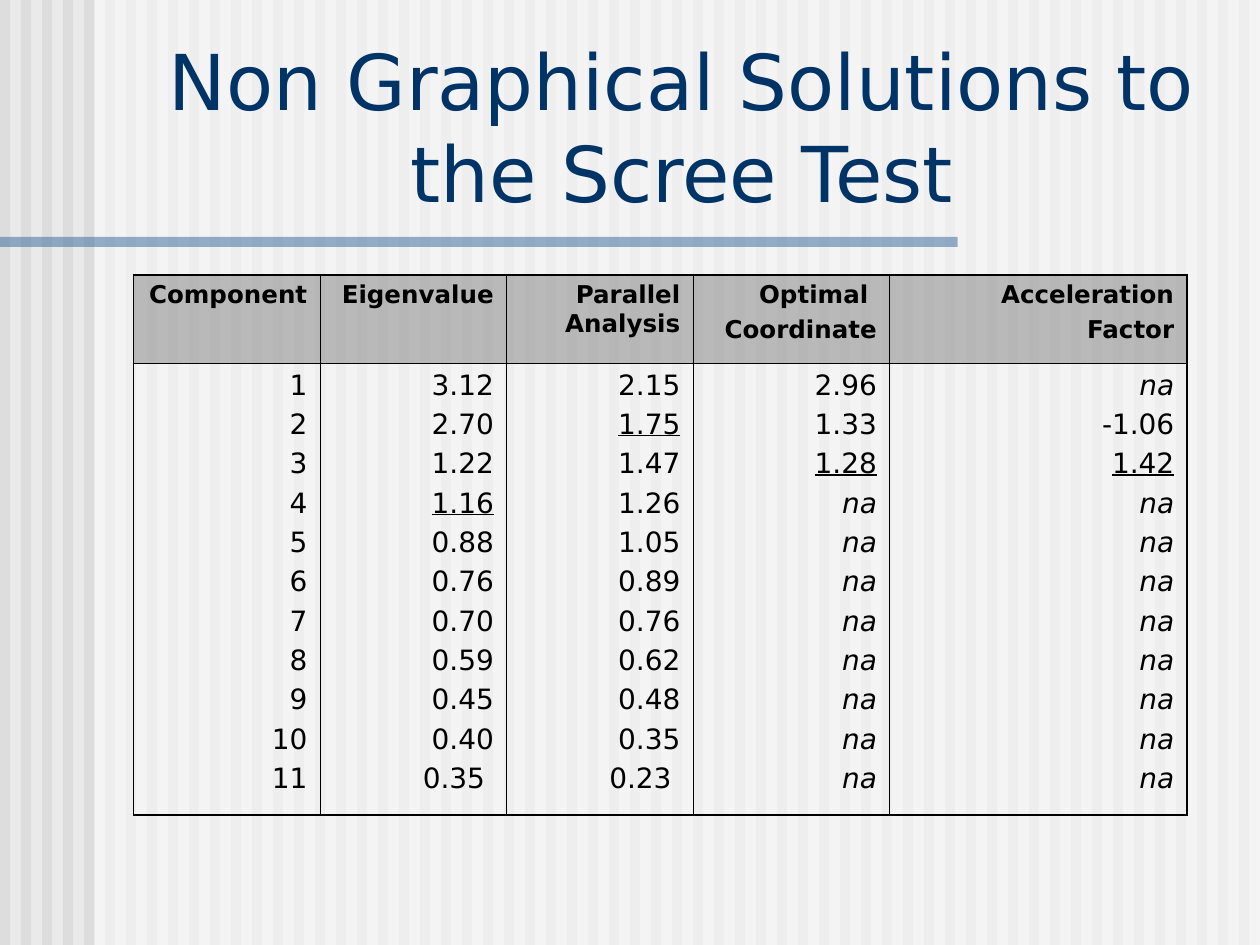
"""Build the slide on non-graphical solutions to the scree test."""
from dataclasses import dataclass

from lxml.etree import SubElement
from pptx import Presentation
from pptx.dml.color import RGBColor
from pptx.enum.shapes import MSO_SHAPE
from pptx.enum.text import MSO_ANCHOR, PP_ALIGN
from pptx.oxml.ns import qn
from pptx.util import Inches, Pt

TITLE = "Non Graphical Solutions to the Scree Test"
NA = "na"
COLUMNS = [
    {"header": ["Component"], "width": 1.48,
     "values": [str(number) for number in range(1, 12)], "underlined": None},
    {"header": ["Eigenvalue"], "width": 1.48,
     "values": ["3.12", "2.70", "1.22", "1.16", "0.88", "0.76",
                "0.70", "0.59", "0.45", "0.40", "0.35 "], "underlined": "1.16"},
    {"header": ["Parallel Analysis"], "width": 1.48,
     "values": ["2.15", "1.75", "1.47", "1.26", "1.05", "0.89",
                "0.76", "0.62", "0.48", "0.35", "0.23 "], "underlined": "1.75"},
    {"header": ["Optimal ", "Coordinate"], "width": 1.56,
     "values": ["2.96", "1.33", "1.28"] + [NA] * 8, "underlined": "1.28"},
    {"header": ["Acceleration", "Factor"], "width": 2.36,
     "values": [NA, "-1.06", "1.42"] + [NA] * 8, "underlined": "1.42"},
]
ROW_HEIGHTS = [0.7, 3.59]
STRIPE_COUNT = 60


@dataclass(frozen=True)
class Theme:
    font: str = "DejaVu Sans"
    background: str = "EAEAEA"
    stripe: str = "DDDDDD"
    veil: str = "FFFFFF"
    rule: str = "336699"
    title: str = "003366"
    text: str = "000000"
    header: str = "808080"
    title_size: int = 44
    header_size: int = 14
    body_size: int = 16
    thin: float = 0.45
    thick: float = 1.08


THEME = Theme()


def paint(fill, properties, color, opacity=100):
    fill.solid()
    fill.fore_color.rgb = RGBColor.from_string(color)
    if opacity < 100:
        color_element = properties.find(qn("a:solidFill"))[0]
        SubElement(color_element, qn("a:alpha"), val=str(opacity * 1000))


def add_block(shapes, left, top, width, height, color, opacity=100):
    shape = shapes.add_shape(MSO_SHAPE.RECTANGLE, Inches(left), Inches(top),
                             Inches(width), Inches(height))
    shape.shadow.inherit = False
    shape.line.fill.background()
    paint(shape.fill, shape.element.spPr, color, opacity)


def style_font(font, size, color, bold=False):
    font.name = THEME.font
    font.size = Pt(size)
    font.bold = bold
    font.color.rgb = RGBColor.from_string(color)


def add_backdrop(slide):
    paint(slide.background.fill, None, THEME.background)
    group = slide.shapes.add_group_shape()
    for index in range(STRIPE_COUNT):
        add_block(group.shapes, index / 6, 0, 0.08, 7.5, THEME.stripe)
    add_block(group.shapes, 0.75, 0, 9.25, 7.5, THEME.veil, 50)
    add_block(group.shapes, 0, 1.88, 7.6, 0.08, THEME.rule, 50)


def place_title(slide):
    title = slide.shapes.title
    slide.shapes.element.append(title.element)
    title.left, title.top = Inches(0.95), Inches(0.21)
    title.width, title.height = Inches(8.93), Inches(1.57)
    frame = title.text_frame
    frame.text = TITLE
    frame.word_wrap = True
    frame.vertical_anchor = MSO_ANCHOR.BOTTOM
    paragraph = frame.paragraphs[0]
    paragraph.alignment = PP_ALIGN.CENTER
    style_font(paragraph.font, THEME.title_size, THEME.title)


def add_borders(properties, outer_sides):
    for side in "LRTB":
        width = THEME.thick if side in outer_sides else THEME.thin
        line = SubElement(properties, qn(f"a:ln{side}"), w=str(Pt(width)))
        solid = SubElement(line, qn("a:solidFill"))
        SubElement(solid, qn("a:srgbClr"), val=THEME.text)


def fill_cell(cell, lines, size, underlined=None, bold=False):
    cell.text = "\n".join(lines)
    for index, paragraph in enumerate(cell.text_frame.paragraphs):
        paragraph.alignment = PP_ALIGN.RIGHT
        paragraph.space_before = Pt(size / 4 if index else 0)
        style_font(paragraph.font, size, THEME.text, bold)
        paragraph.font.italic = lines[index] == NA
        paragraph.font.underline = lines[index] == underlined


def add_results(slide):
    width = sum(column["width"] for column in COLUMNS)
    table = slide.shapes.add_table(
        len(ROW_HEIGHTS), len(COLUMNS), Inches(1.06), Inches(2.18),
        Inches(width), Inches(sum(ROW_HEIGHTS))).table
    table.first_row = table.horz_banding = False
    for row, height in zip(table.rows, ROW_HEIGHTS):
        row.height = Inches(height)
    for index, column in enumerate(COLUMNS):
        table.columns[index].width = Inches(column["width"])
        sides = {0: "L", len(COLUMNS) - 1: "R"}.get(index, "")
        header, body = table.cell(0, index), table.cell(1, index)
        fill_cell(header, column["header"], THEME.header_size, bold=True)
        fill_cell(body, column["values"], THEME.body_size, column["underlined"])
        header_properties = header._tc.get_or_add_tcPr()
        add_borders(header_properties, sides + "T")
        add_borders(body._tc.get_or_add_tcPr(), sides + "B")
        paint(header.fill, header_properties, THEME.header, 50)
        body.fill.background()


def main():
    presentation = Presentation()
    presentation.slide_width, presentation.slide_height = Inches(10), Inches(7.5)
    slide = presentation.slides.add_slide(presentation.slide_layouts[5])
    add_backdrop(slide)
    place_title(slide)
    add_results(slide)
    presentation.save("out.pptx")


if __name__ == "__main__":
    main()
